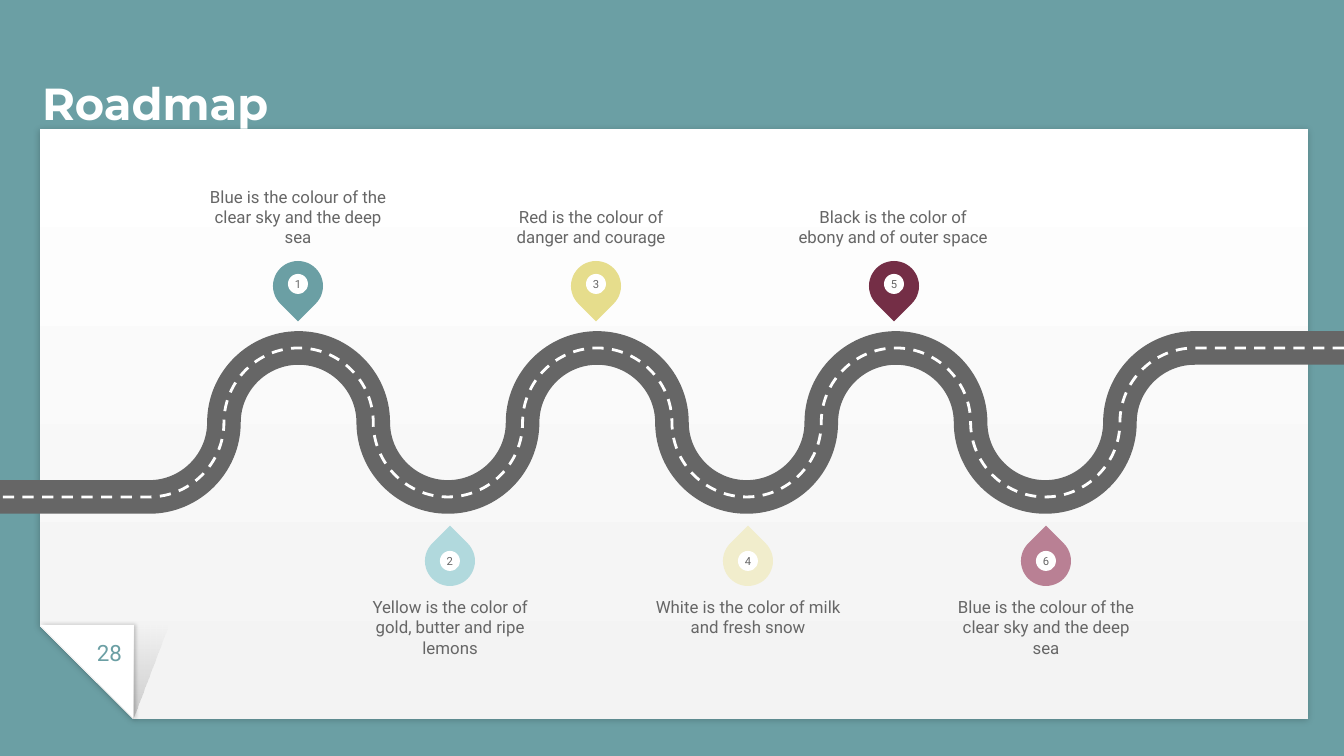
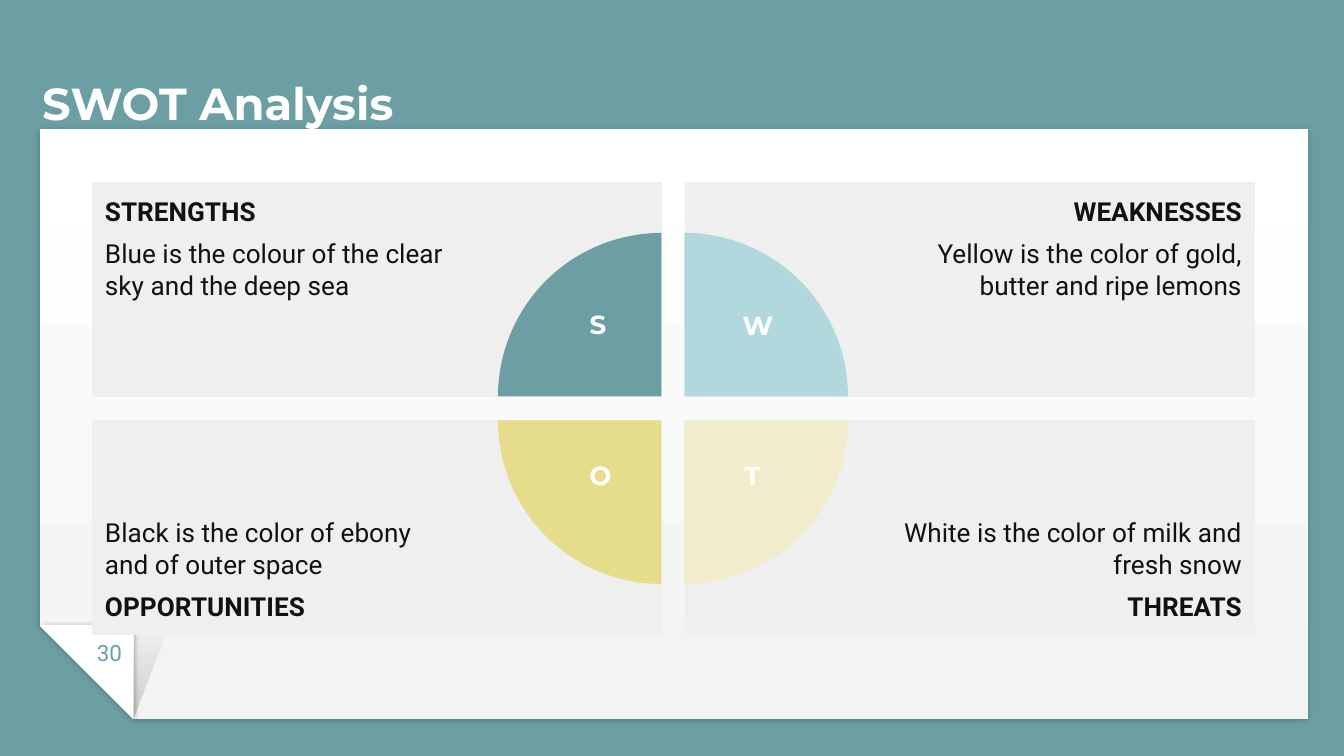
from lxml.etree import SubElement
from pptx import Presentation
from pptx.dml.color import RGBColor
from pptx.enum.dml import MSO_LINE
from pptx.enum.shapes import MSO_SHAPE
from pptx.enum.text import MSO_ANCHOR, MSO_AUTO_SIZE, PP_ALIGN
from pptx.oxml.ns import qn
from pptx.util import Emu, Pt

EMU_PER_PX = 914400 / 134.4
SLIDE_W, SLIDE_H = 1344, 756
ARC_HANDLE = 0.55
HEADING, BODY = "Montserrat", "Roboto"
TEAL, AQUA, YELLOW, CREAM = "6B9FA4", "B1D9DD", "E6DD8C", "F1EDCC"
WINE, ROSE = "742E46", "B98094"
WHITE, PALE, PANEL, GREY, INK = "FFFFFF", "F3F3F3", "EFEFEF", "666666", "111111"


def px(length):
    return Emu(round(length * EMU_PER_PX))


def rgb(color):
    return RGBColor.from_string(color)


def write(frame, text, font=BODY, size=9, color=GREY, bold=False,
          align=PP_ALIGN.LEFT, before=0, after=0):
    paragraph = frame.add_paragraph() if frame.text else frame.paragraphs[0]
    paragraph.alignment = align
    paragraph.space_before, paragraph.space_after = Pt(before), Pt(after)
    run = paragraph.add_run()
    run.text = text
    run.font.name, run.font.size, run.font.bold = font, Pt(size), bold
    run.font.color.rgb = rgb(color)


def prepare(frame, insets=(0, 0, 0, 0), anchor=MSO_ANCHOR.TOP):
    frame.word_wrap = True
    frame.auto_size = MSO_AUTO_SIZE.NONE
    frame.vertical_anchor = anchor
    (frame.margin_left, frame.margin_top,
     frame.margin_right, frame.margin_bottom) = map(px, insets)
    return frame


class Deck:
    def __init__(self):
        self.show = Presentation()
        self.show.slide_width, self.show.slide_height = px(SLIDE_W), px(SLIDE_H)
        backdrop = self.show.slide_master.background.fill
        backdrop.solid()
        backdrop.fore_color.rgb = rgb(TEAL)
        self.slide = None

    def page(self, title, number):
        self.slide = self.show.slides.add_slide(self.show.slide_layouts[5])
        sheet = self.shape(MSO_SHAPE.SNIP_1_RECTANGLE, 40, 129, 1268, 590, rotation=180)
        sheet.adjustments[0] = 0.158
        self.gradient(sheet, (WHITE, PALE), 90)
        self.shadow(sheet, blur=3.4, direction=90)
        fold = self.shape(MSO_SHAPE.RIGHT_TRIANGLE, 40, 625, 94, 94, WHITE, 180)
        self.shadow(fold, blur=2.2, direction=0)
        shade = self.shape(MSO_SHAPE.RIGHT_TRIANGLE, 133, 625, 35, 94, rotation=180)
        shade._element.spPr.xfrm.set("flipH", "1")
        self.gradient(shade, ("000000", "000000"), 270, (17, 0))
        self.title(title)
        self.label(str(number), 75, 626, 69, 46, insets=(13, 13, 13, 13),
                   size=12, color=TEAL)

    def title(self, text):
        title = self.slide.shapes.title
        self.slide.shapes._spTree.append(title._element)
        title.left, title.top, title.width, title.height = map(px, (42, 52, 1235, 77))
        write(prepare(title.text_frame, anchor=MSO_ANCHOR.BOTTOM), text,
              font=HEADING, size=24, color=WHITE, bold=True)

    def shape(self, preset, left, top, width, height, fill=None, rotation=0):
        shape = self.slide.shapes.add_shape(preset, *map(px, (left, top, width, height)))
        shape.shadow.inherit = False
        shape.line.fill.background()
        shape.rotation = rotation
        if fill:
            shape.fill.solid()
            shape.fill.fore_color.rgb = rgb(fill)
        return shape

    def gradient(self, shape, colors, angle, opacities=(100, 100)):
        shape.fill.gradient()
        shape.fill.gradient_angle = angle
        for stop, color, opacity in zip(shape.fill.gradient_stops, colors, opacities):
            stop.color.rgb = rgb(color)
            if opacity < 100:
                SubElement(stop._gs[0], qn("a:alpha"), val=str(opacity * 1000))

    def shadow(self, shape, blur, direction):
        effects = shape._element.spPr.find(qn("a:effectLst"))
        outer = SubElement(effects, qn("a:outerShdw"), blurRad=str(Pt(blur)),
                           dist=str(Pt(0.8)), dir=str(direction * 60000),
                           algn="bl", rotWithShape="0")
        black = SubElement(outer, qn("a:srgbClr"), val="000000")
        SubElement(black, qn("a:alpha"), val="20000")

    def label(self, text, left, top, width, height, insets=(0, 0, 0, 0),
              anchor=MSO_ANCHOR.TOP, **style):
        box = self.slide.shapes.add_textbox(*map(px, (left, top, width, height)))
        write(prepare(box.text_frame, insets, anchor), text,
              align=PP_ALIGN.CENTER, **style)

    def road(self, color, width, dash=None):
        top, middle, bottom = 348, 422.5, 497
        levels = (top, middle, bottom, middle)
        bends = [(SLIDE_W * (16 - i) / 18, levels[i % 4]) for i in range(15)]
        stops = [(px(x), px(y)) for x, y in
                 [(SLIDE_W, top), *bends, (0, bottom)]]
        builder = self.slide.shapes.build_freeform(*stops[0])
        builder.add_line_segments(stops[1:], close=False)
        lane = builder.convert_to_shape()
        lane.shadow.inherit = False
        lane.fill.background()
        lane.line.color.rgb = rgb(color)
        lane.line.width = Pt(width)
        if dash:
            lane.line.dash_style = dash
        self.bend(lane)

    def bend(self, lane):
        steps = list(next(lane._element.iter(qn("a:path"))))
        spots = [(int(step[0].get("x")), int(step[0].get("y"))) for step in steps]
        for i in range(2, len(steps) - 1):
            (x0, y0), (x1, y1) = spots[i - 1:i + 1]
            dx, dy = round((x1 - x0) * ARC_HANDLE), round((y1 - y0) * ARC_HANDLE)
            if i % 2 == 0:
                handles = (x0 + dx, y0), (x1, y1 - dy)
            else:
                handles = (x0, y0 + dy), (x1 - dx, y1)
            steps[i].tag = qn("a:cubicBezTo")
            for spot, (x, y) in enumerate(handles):
                handle = SubElement(steps[i], qn("a:pt"), x=str(x), y=str(y))
                steps[i].insert(spot, handle)

    def milestone(self, number, color, text, center, above, label_shift):
        pin_top, dot_top, label_top = (261, 274, 169) if above else (536, 551, 597)
        self.shape(MSO_SHAPE.TEAR, center - 25, pin_top, 50, 50, color,
                   135 if above else 315)
        dot = self.shape(MSO_SHAPE.OVAL, center - 10, dot_top, 20, 20, WHITE)
        write(prepare(dot.text_frame, anchor=MSO_ANCHOR.MIDDLE), str(number),
              size=6, align=PP_ALIGN.CENTER)
        self.label(text, center - 95 + label_shift, label_top, 190, 78,
                   anchor=MSO_ANCHOR.BOTTOM if above else MSO_ANCHOR.TOP)

    def quadrant(self, heading, text, column, row):
        panel = self.shape(MSO_SHAPE.RECTANGLE, 92 + 593 * column, 182 + 238 * row,
                           570, 215, PANEL)
        insets = (202, 13, 13, 13) if column else (13, 13, 202, 13)
        frame = prepare(panel.text_frame, insets,
                        MSO_ANCHOR.BOTTOM if row else MSO_ANCHOR.TOP)
        lines = [(heading, True), (text, False)]
        for i, (line, bold) in enumerate(reversed(lines) if row else lines):
            write(frame, line, size=14, color=INK, bold=bold, before=6 * i, after=6 * i,
                  align=PP_ALIGN.RIGHT if column else PP_ALIGN.LEFT)

    def quarter(self, color, column, row, rotation):
        slice_ = self.shape(MSO_SHAPE.PIE, 498 + 23 * column, 233 + 24 * row,
                            327, 327, color, rotation)
        slice_.adjustments[0], slice_.adjustments[1] = 108, 162


def build_roadmap(deck):
    deck.page("Roadmap", 28)
    deck.road(GREY, 18)
    deck.road(WHITE, 1.5, MSO_LINE.DASH)
    milestones = [
        (TEAL, "Blue is the colour of the clear sky and the deep sea", 0),
        (AQUA, "Yellow is the color of gold, butter and ripe lemons", 0),
        (YELLOW, "Red is the colour of danger and courage", -5),
        (CREAM, "White is the color of milk and fresh snow", 0),
        (WINE, "Black is the color of ebony and of outer space", -1),
        (ROSE, "Blue is the colour of the clear sky and the deep sea", 0),
    ]
    for i, (color, text, label_shift) in enumerate(milestones):
        pair, below = divmod(i, 2)
        deck.milestone(i + 1, color, text, 298 + 298 * pair + 152 * below,
                       not below, label_shift)


def build_swot(deck):
    deck.page("SWOT Analysis", 30)
    quadrants = [
        ("STRENGTHS", "Blue is the colour of the clear sky and the deep sea", 0, 0),
        ("WEAKNESSES", "Yellow is the color of gold, butter and ripe lemons", 1, 0),
        ("OPPORTUNITIES", "Black is the color of ebony and of outer space", 0, 1),
        ("THREATS", "White is the color of milk and fresh snow", 1, 1),
    ]
    for quadrant in quadrants:
        deck.quadrant(*quadrant)
    quarters = [(TEAL, 0, 0), (AQUA, 1, 0), (CREAM, 1, 1), (YELLOW, 0, 1)]
    for turn, (color, column, row) in enumerate(quarters):
        deck.quarter(color, column, row, 90 * turn)
    initials = [("S", 574, 301, 48), ("W", 711, 302, 94),
                ("O", 568, 452, 65), ("T", 720, 452, 65)]
    for initial, left, top, width in initials:
        deck.label(initial, left, top, width, 60, insets=(13, 7, 13, 7),
                   font=HEADING, size=14, color=WHITE, bold=True)


def main():
    deck = Deck()
    build_roadmap(deck)
    build_swot(deck)
    deck.show.save("out.pptx")


if __name__ == "__main__":
    main()
